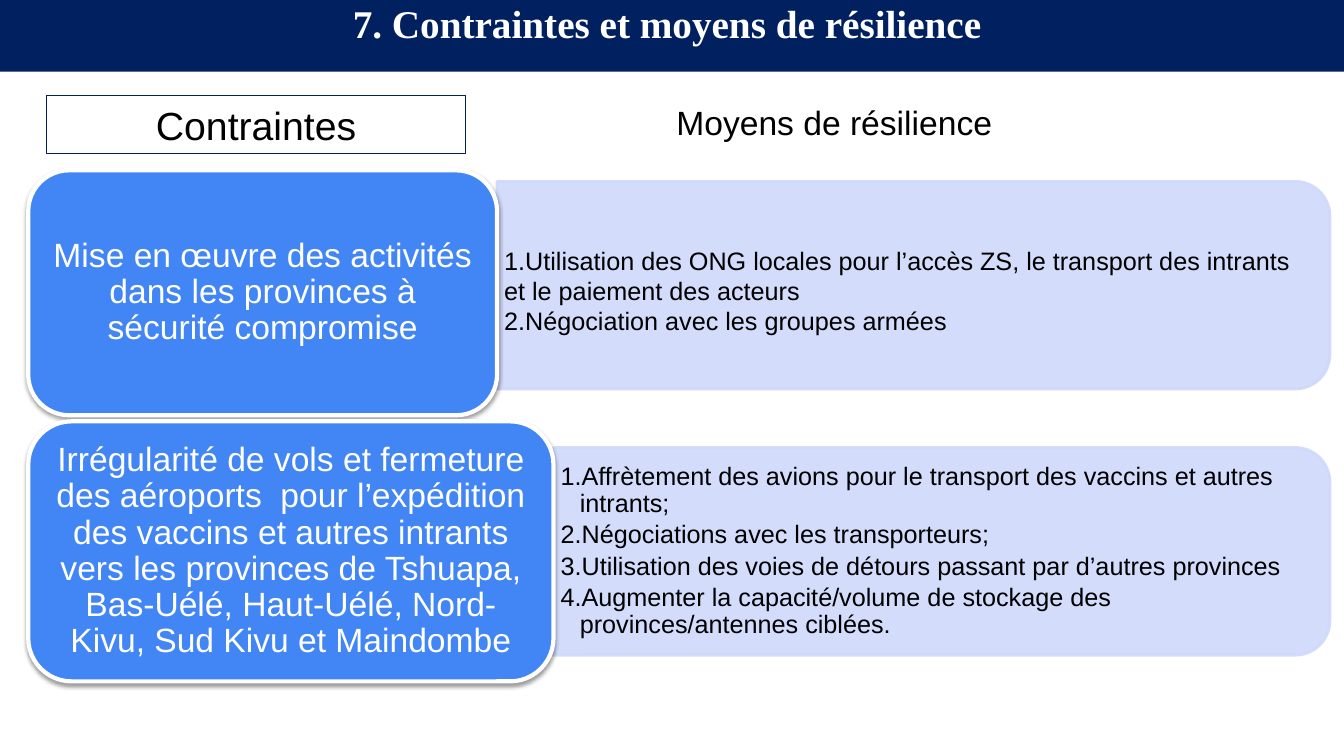
from lxml import etree
from pptx import Presentation
from pptx.dml.color import RGBColor
from pptx.enum import shapes, text
from pptx.oxml import ns
from pptx.util import Inches, Pt

TITLE = "7. Contraintes et moyens de résilience "
LEFT_HEADING = "Contraintes"
RIGHT_HEADING = "Moyens de résilience "
ROWS = [
    {
        "constraint": "Mise en œuvre des activités dans les provinces à sécurité compromise",
        "answers": [
            "Utilisation des ONG locales pour l’accès ZS, le transport des intrants "
            "et le paiement des acteurs",
            "Négociation avec les groupes armées",
        ],
        "card": (1.69, 4.65, 2.43),  # top, width, height
        "panel_middle": 2.83, "text_middle": 2.88,
        "hanging": 0, "line_spacing": 1.0, "space_after": 0,
    },
    {
        "constraint": "Irrégularité de vols et fermeture des aéroports  pour l’expédition "
                      "des vaccins et autres intrants vers les provinces de Tshuapa, "
                      "Bas-Uélé, Haut-Uélé, Nord-Kivu, Sud Kivu et Maindombe",
        "answers": [
            "Affrètement des avions pour le transport des vaccins et autres intrants;",
            "Négociations avec les transporteurs;",
            "Utilisation des voies de détours passant par d’autres provinces",
            "Augmenter la capacité/volume de stockage des provinces/antennes ciblées.",
        ],
        "card": (4.18, 5.21, 2.58),
        "panel_middle": 5.47, "text_middle": 5.47,
        "hanging": 0.19, "line_spacing": 0.9, "space_after": 3,
    },
]

NAVY = RGBColor(0x00, 0x20, 0x60)
BLUE = RGBColor(0x42, 0x85, 0xF4)
PALE = RGBColor(0xCF, 0xD9, 0xFB)
WHITE = RGBColor(0xFF, 0xFF, 0xFF)
BLACK = RGBColor(0x00, 0x00, 0x00)

CARD_LEFT = 0.28
PANEL_RIGHT, PANEL_HEIGHT = 13.19, 2.06
ANSWER_RIGHT, ANSWER_HEIGHT = 13.08, 1.86

deck = Presentation()
deck.slide_width, deck.slide_height = Inches(13.33), Inches(7.5)
page = deck.slides.add_slide(deck.slide_layouts[6])


def add_block(kind, left, top, width, height, fill=None, line=None, line_width=0):
    block = page.shapes.add_shape(
        kind, Inches(left), Inches(top), Inches(width), Inches(height))
    block.shadow.inherit = False
    if fill is None:
        block.fill.background()
    else:
        block.fill.solid()
        block.fill.fore_color.rgb = fill
    if line is None:
        block.line.fill.background()
    else:
        block.line.color.rgb = line
        block.line.width = Pt(line_width)
    return block


def style(para, size, color, font="Arial", bold=False, align=text.PP_ALIGN.CENTER, spacing=1.0):
    para.alignment = align
    para.line_spacing = spacing
    para.font.size, para.font.bold, para.font.name = Pt(size), bold, font
    for span in para.runs:
        span.font.size, span.font.bold, span.font.name = Pt(size), bold, font
        span.font.color.rgb = color


def add_alpha(block, percent):
    """Make the fill and line colours partly transparent."""
    for color in block._element.spPr.iter(ns.qn("a:srgbClr")):
        etree.SubElement(color, ns.qn("a:alpha"), val=str(percent * 1000))


def add_soft_shadow(block):
    effects = block._element.spPr.find(ns.qn("a:effectLst"))
    shadow = etree.SubElement(effects, ns.qn("a:outerShdw"), blurRad=str(Pt(3.1)),
                              dist=str(Pt(1.6)), dir="5400000", rotWithShape="0")
    color = etree.SubElement(shadow, ns.qn("a:srgbClr"), val="000000")
    etree.SubElement(color, ns.qn("a:alpha"), val="38000")


def number(para, hanging):
    props = para._p.get_or_add_pPr()
    props.set("marL", str(Inches(hanging)))
    props.set("indent", str(-Inches(hanging)))
    etree.SubElement(props, ns.qn("a:buFont"), typeface="+mj-lt")
    etree.SubElement(props, ns.qn("a:buAutoNum"), type="arabicPeriod")


def add_panel(left, middle):
    """Draw a panel whose two right corners are round: a shape turned a quarter."""
    length = PANEL_RIGHT - left
    center = (left + PANEL_RIGHT) / 2
    panel = add_block(shapes.MSO_SHAPE.ROUND_2_SAME_RECTANGLE,
                      center - PANEL_HEIGHT / 2, middle - length / 2,
                      PANEL_HEIGHT, length, PALE, PALE, 2)
    panel.rotation = 90
    add_alpha(panel, 90)


def add_answers(left, row):
    box = page.shapes.add_textbox(
        Inches(left), Inches(row["text_middle"] - ANSWER_HEIGHT / 2),
        Inches(ANSWER_RIGHT - left), Inches(ANSWER_HEIGHT))
    frame = box.text_frame
    frame.word_wrap = True
    frame.vertical_anchor = text.MSO_ANCHOR.MIDDLE
    frame.margin_left = frame.margin_right = Inches(0.07)
    frame.margin_top = frame.margin_bottom = Inches(0.04)
    frame.text = "\n".join(row["answers"])
    for para in frame.paragraphs:
        number(para, row["hanging"])
        style(para, 18, BLACK, align=text.PP_ALIGN.LEFT, spacing=row["line_spacing"])
        para.space_after = Pt(row["space_after"])


def add_card(row):
    top, width, height = row["card"]
    card = add_block(shapes.MSO_SHAPE.ROUNDED_RECTANGLE,
                     CARD_LEFT, top, width, height, BLUE, WHITE, 3)
    add_soft_shadow(card)
    card.text_frame.text = row["constraint"]
    style(card.text_frame.paragraphs[0], 24, WHITE, spacing=0.9)


banner = add_block(shapes.MSO_SHAPE.RECTANGLE, 0, 0, 13.33, 0.71, NAVY)
banner.text_frame.text = TITLE
banner.text_frame.vertical_anchor = text.MSO_ANCHOR.TOP
style(banner.text_frame.paragraphs[0], 28, WHITE, "Times New Roman", True, spacing=0.9)

for row in ROWS:
    card_right = CARD_LEFT + row["card"][1]
    add_panel(card_right, row["panel_middle"])
    add_answers(card_right, row)
    add_card(row)

heading = add_block(shapes.MSO_SHAPE.RECTANGLE, 0.46, 0.95, 4.16, 0.57, line=NAVY, line_width=0.75)
heading.text_frame.text = LEFT_HEADING
style(heading.text_frame.paragraphs[0], 28, BLACK)

heading = page.shapes.add_textbox(Inches(6.61), Inches(0.96), Inches(3.46), Inches(0.5))
heading.text_frame.word_wrap = False
heading.text_frame.text = RIGHT_HEADING
style(heading.text_frame.paragraphs[0], 24, BLACK, align=text.PP_ALIGN.LEFT)

deck.save("out.pptx")
